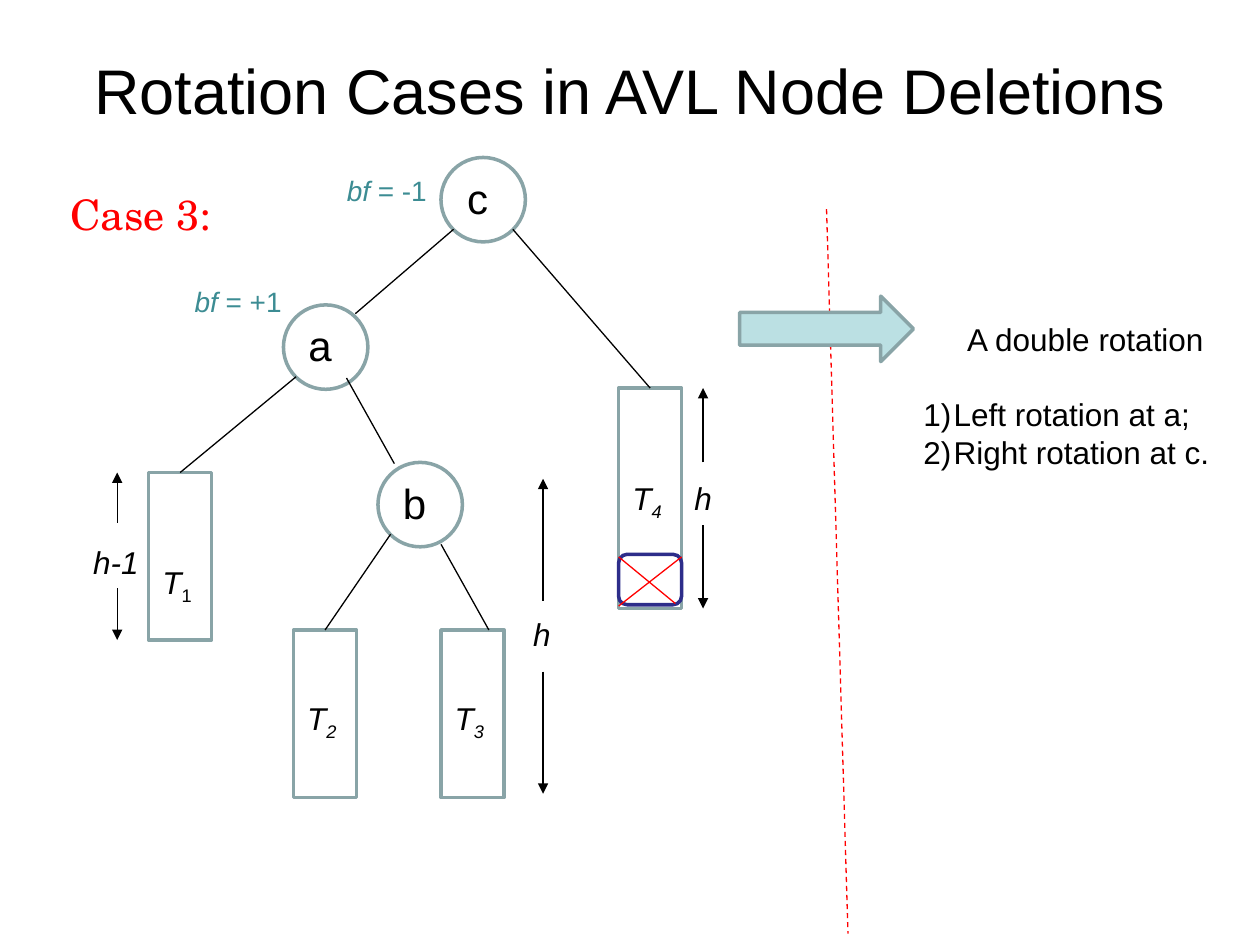
import dataclasses

import lxml.etree
import pptx
import pptx.dml.color
import pptx.enum.dml
import pptx.enum.shapes
import pptx.enum.text
import pptx.oxml.ns
import pptx.util

Inches = pptx.util.Inches
Pt = pptx.util.Pt
Shape = pptx.enum.shapes.MSO_SHAPE
Align = pptx.enum.text.PP_ALIGN
Anchor = pptx.enum.text.MSO_ANCHOR


@dataclasses.dataclass(frozen=True)
class Theme:
    """Colours, fonts and point sizes of the slide."""
    ink: str = "000000"
    outline: str = "89A4A7"
    arrow: str = "BBE0E3"
    balance: str = "3C8C93"
    red: str = "FF0000"
    removed: str = "2D2D8A"
    paper: str = "FFFFFF"
    font: str = "Arial"
    case_font: str = "TeX Gyre Schola"
    title: int = 36
    node: int = 24
    body: int = 18
    factor: int = 16
    thick: float = 2
    thin: float = 0.75


THEME = Theme()
NODE_SIZE = 0.67
TREE_WIDTH = 0.5


def rgb(value):
    """Turn a hex string into a colour."""
    return pptx.dml.color.RGBColor.from_string(value)


def add_child(parent, tag, **attributes):
    """Append a DrawingML element."""
    return lxml.etree.SubElement(parent, pptx.oxml.ns.qn(tag), attributes)


def add_span(para, text, size, color=THEME.ink, font=THEME.font, italic=False, subscript=False):
    """Append one formatted run to a paragraph."""
    span = para.add_run()
    span.text = text
    span.font.size = Pt(size)
    span.font.name = font
    span.font.italic = italic
    span.font.color.rgb = rgb(color)
    if subscript:
        span._r.get_or_add_rPr().set("baseline", "-25000")


def add_box(page, left, top, width, height, align=Align.CENTER, wrap=True):
    """Add a text box and return it with its first paragraph."""
    box = page.shapes.add_textbox(Inches(left), Inches(top), Inches(width), Inches(height))
    box.text_frame.word_wrap = wrap
    para = box.text_frame.paragraphs[0]
    para.alignment = align
    return box, para


def add_outline(page, kind, left, top, width, height, line=THEME.outline, fill=None):
    """Add an outlined preset shape."""
    shape = page.shapes.add_shape(kind, Inches(left), Inches(top), Inches(width), Inches(height))
    shape.shadow.inherit = False
    shape.line.color.rgb = rgb(line)
    shape.line.width = Pt(THEME.thick)
    if fill:
        shape.fill.solid()
        shape.fill.fore_color.rgb = rgb(fill)
    else:
        shape.fill.background()
    return shape


def add_line(page, start, end, color=THEME.ink, arrow=False, dashed=False):
    """Add a thin straight connector."""
    points = [Inches(value) for value in (*start, *end)]
    line = page.shapes.add_connector(pptx.enum.shapes.MSO_CONNECTOR.STRAIGHT, *points)
    line.line.color.rgb = rgb(color)
    line.line.width = Pt(THEME.thin)
    if dashed:
        line.line.dash_style = pptx.enum.dml.MSO_LINE.DASH
    if arrow:
        add_child(line.line._get_or_add_ln(), "a:tailEnd", type="triangle")
    add_child(line._element.spPr, "a:effectLst")
    return line


def add_node(page, name, left, top):
    """Add a tree node with its letter."""
    add_outline(page, Shape.OVAL, left, top, NODE_SIZE, NODE_SIZE)
    box, para = add_box(page, left + 0.08, top + 0.07, 0.42, 0.5)
    add_span(para, name, THEME.node)


def add_subtree(page, index, left, top, height, label_top, italic_index=True):
    """Add a subtree rectangle labelled T with a subscript."""
    tree = add_outline(page, Shape.RECTANGLE, left, top, TREE_WIDTH, height)
    box, para = add_box(page, left + 0.01, label_top, 0.43, 0.44, wrap=False)
    add_span(para, "T", THEME.body, italic=True)
    add_span(para, index, THEME.body, italic=italic_index, subscript=True)
    return tree


def add_height(page, text, x, top, upper, lower, bottom, left, label_top, width):
    """Add a height label between an up arrow and a down arrow."""
    add_line(page, (x, upper), (x, top), arrow=True)
    add_line(page, (x, lower), (x, bottom), arrow=True)
    box, para = add_box(page, left, label_top, width, 0.4, wrap=False)
    add_span(para, text, THEME.body, italic=True)


def add_balance(page, value, left, top, width):
    """Add a balance factor label."""
    box, para = add_box(page, left, top, width, 0.37)
    add_span(para, "bf ", THEME.factor, THEME.balance, italic=True)
    add_span(para, value, THEME.factor, THEME.balance)


def add_headings(page):
    """Add the title and the case name."""
    box, para = add_box(page, 0.5, 0.08, 9, 1.25)
    box.text_frame.vertical_anchor = Anchor.MIDDLE
    add_span(para, "Rotation Cases in AVL Node Deletions", THEME.title)
    box, para = add_box(page, 0.46, 1.25, 4.58, 0.75, Align.LEFT)
    para.line_spacing = 1.5
    para.space_before = Pt(6)
    add_span(para, "Case 3:", THEME.node, THEME.red, THEME.case_font)


def add_steps(page, heading, steps):
    """Add the explanation with its numbered steps."""
    box, para = add_box(page, 7.23, 2.49, 2.77, 1.3)
    add_span(para, heading, THEME.body)
    for number, step in enumerate(steps):
        para = box.text_frame.add_paragraph()
        para.space_before = Pt(0 if number else 21.5)
        properties = para._p.get_or_add_pPr()
        properties.set("marL", str(Inches(0.24)))
        properties.set("indent", str(-Inches(0.24)))
        add_child(properties, "a:buFont", typeface=THEME.font)
        add_child(properties, "a:buAutoNum", type="arabicParenR")
        add_span(para, step, THEME.body)


def main():
    """Build and save the slide."""
    deck = pptx.Presentation()
    deck.slide_width, deck.slide_height = Inches(10), Inches(7.5)
    page = deck.slides.add_slide(deck.slide_layouts[6])
    add_headings(page)

    for name, left, top in (("c", 3.5, 1.25), ("a", 2.25, 2.42), ("b", 3, 3.67)):
        add_node(page, name, left, top)
    first = add_subtree(page, "1", 1.18, 3.75, 1.33, 4.42, italic_index=False)
    second = add_subtree(page, "2", 2.33, 5, 1.33, 5.5)
    add_subtree(page, "3", 3.5, 5, 1.33, 5.5)
    fourth = add_subtree(page, "4", 4.91, 3.08, 1.75, 3.75)

    removed = add_outline(page, Shape.ROUNDED_RECTANGLE, 4.91, 4.4, TREE_WIDTH, 0.4,
                          THEME.removed, THEME.paper)
    removed.adjustments[0] = 0.17
    add_line(page, (4.91, 4.42), (5.36, 4.79), THEME.red)
    add_line(page, (5.41, 4.42), (4.91, 4.81), THEME.red)

    for start, end, tree in (
        ((3.6, 1.82), (2.82, 2.49), None),
        ((2.75, 3), (3.13, 3.68), None),
        ((3.5, 4.32), (3.88, 5), None),
        ((2.35, 2.99), (1.43, 3.75), first),
        ((3.1, 4.24), (2.58, 5), second),
        ((4.07, 1.82), (5.16, 3.08), fourth),
    ):
        branch = add_line(page, start, end)
        if tree:
            branch.end_connect(tree, 0)

    add_height(page, "h-1", 0.93, 3.75, 4.15, 4.67, 5.08, 0.64, 4.26, 0.56)
    add_height(page, "h", 5.58, 3.08, 3.67, 4.17, 4.83, 5.41, 3.75, 0.34)
    add_height(page, "h", 4.31, 3.8, 4.77, 5.33, 6.3, 4.13, 4.83, 0.34)
    add_balance(page, "= -1", 2.64, 1.33, 0.86)
    add_balance(page, "= +1", 1.42, 2.21, 0.94)

    add_line(page, (6.56, 1.66), (6.73, 7.41), THEME.red, dashed=True)
    add_outline(page, Shape.RIGHT_ARROW, 5.87, 2.35, 1.38, 0.52, fill=THEME.arrow)
    add_steps(page, "A double rotation", ("Left rotation at a;", "Right rotation at c."))
    deck.save("out.pptx")


if __name__ == "__main__":
    main()
